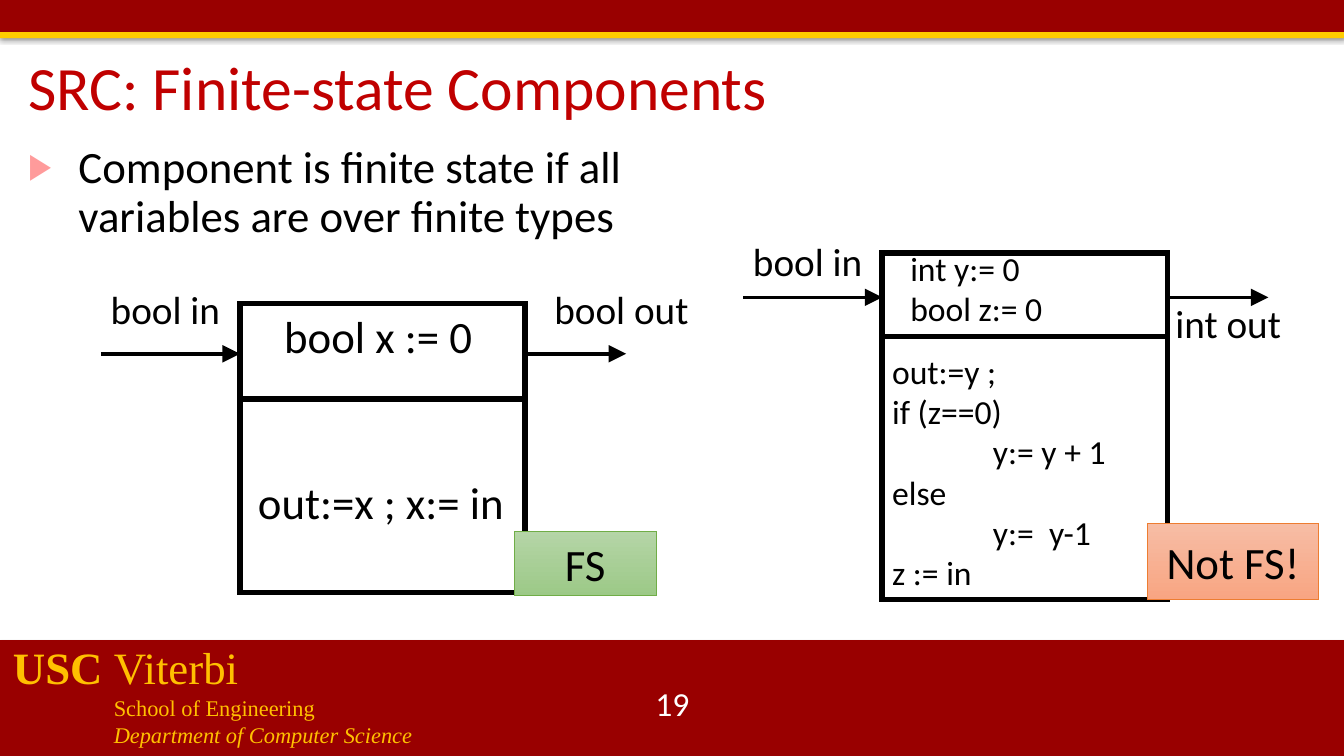
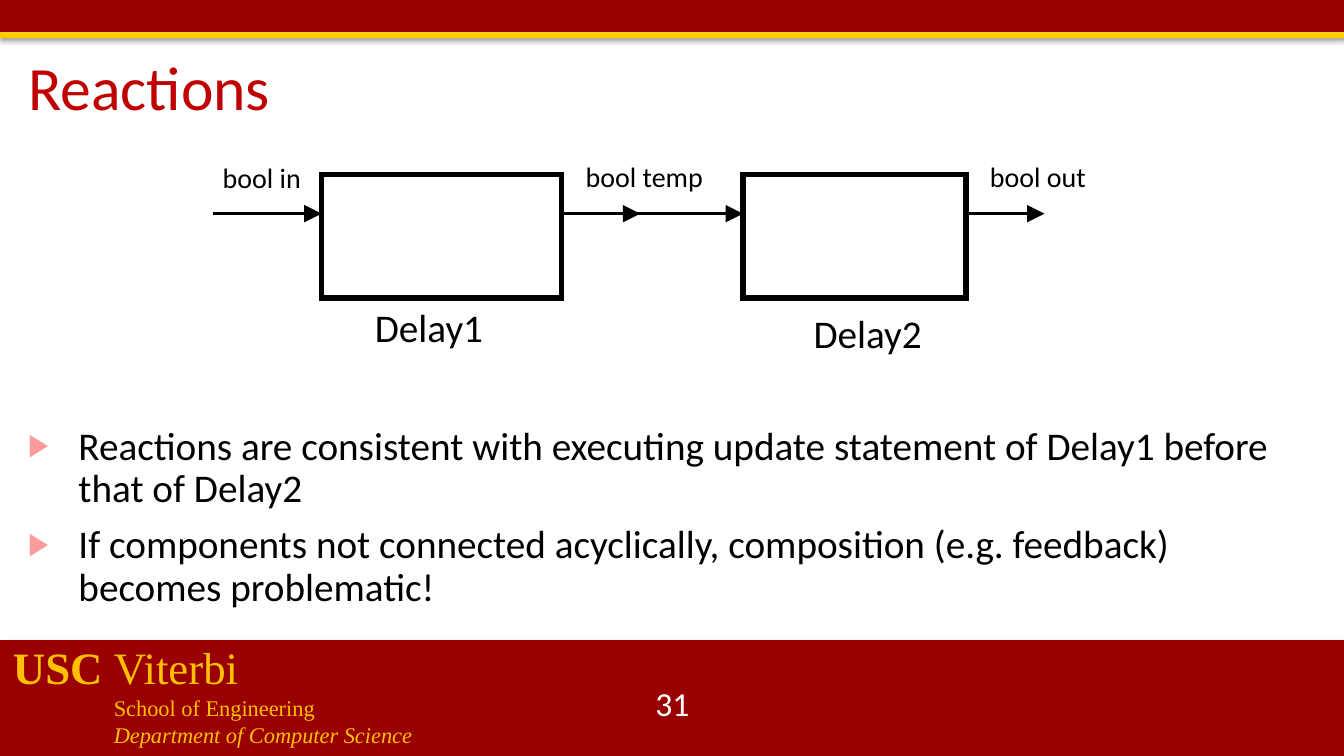
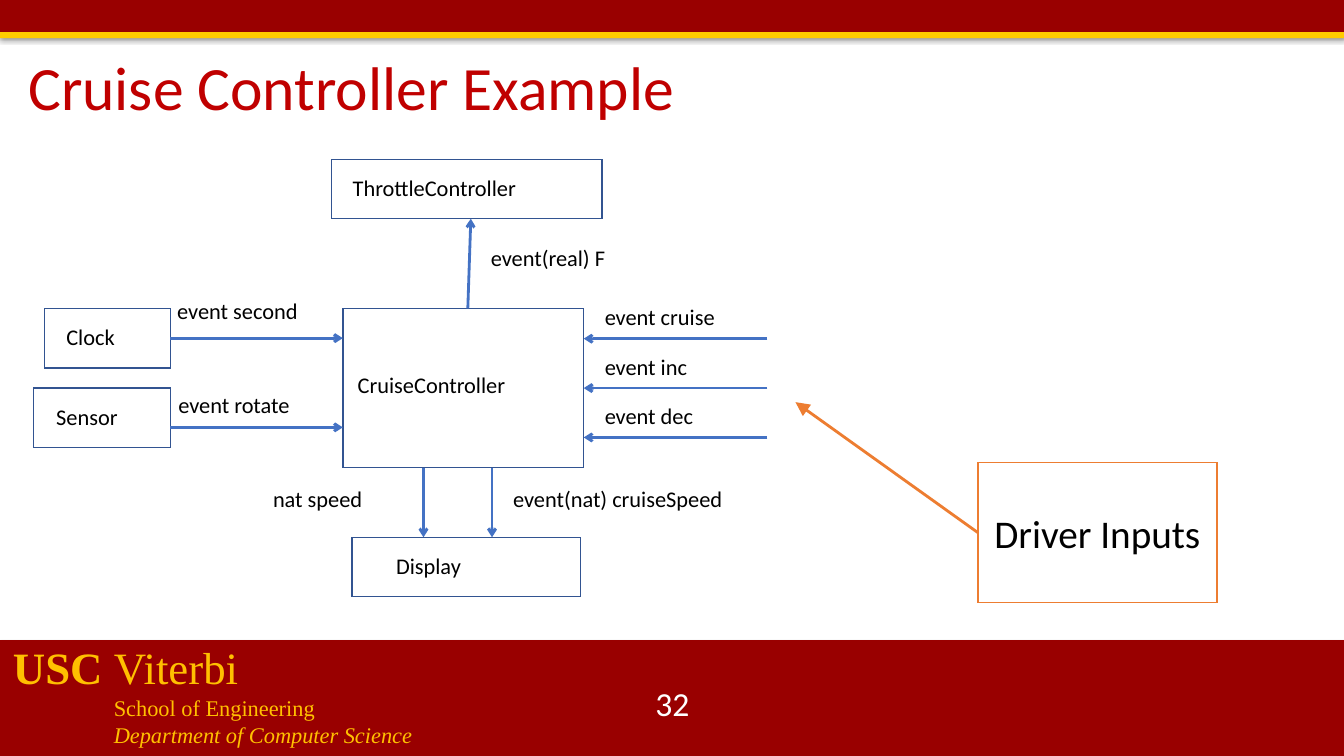
from lxml.etree import SubElement
from pptx import Presentation
from pptx.dml.color import RGBColor
from pptx.enum.shapes import MSO_CONNECTOR, MSO_SHAPE
from pptx.enum.text import MSO_ANCHOR, MSO_AUTO_SIZE, PP_ALIGN
from pptx.oxml.ns import qn
from pptx.util import Inches, Pt

WIDTH, HEIGHT = 13.33, 7.5
CARDINAL, GOLD, FOOTER_GOLD = "990000", "FFCC00", "FFC000"
TITLE_RED, BULLET_PINK = "C00000", "FF9B9B"
BLACK, WHITE = "000000", "FFFFFF"
BLUE, DARK_BLUE, ORANGE, GREEN = "4472C4", "325491", "ED7D31", "70AD47"
BODY_FONT, FOOTER_FONT = "Calibri", "Times New Roman"
TITLE_ONLY = 5


def rgb(value):
    return RGBColor.from_string(value)


# ---- Basic parts ----

def add_bullet(para):
    properties = para._p.get_or_add_pPr()
    properties.set("marL", str(Inches(0.5)))
    properties.set("indent", str(Inches(-0.5)))
    colour = SubElement(properties, qn("a:buClr"))
    SubElement(colour, qn("a:srgbClr"), val=BULLET_PINK)
    SubElement(properties, qn("a:buSzPct"), val="80000")
    SubElement(properties, qn("a:buFont"), typeface=BODY_FONT)
    SubElement(properties, qn("a:buChar"), char="▶")


def add_tabs(para, stops):
    tabs = SubElement(para._p.get_or_add_pPr(), qn("a:tabLst"))
    for stop in stops:
        SubElement(tabs, qn("a:tab"), pos=str(Inches(stop)), algn="l")


def write(frame, lines, size=16, colour=BLACK, font=BODY_FONT, align=PP_ALIGN.LEFT,
          anchor=MSO_ANCHOR.TOP, wrap=True, bullets=False, tabs=(), spacing=None,
          before=0):
    """Each line is a string or a list of (text, format) spans."""
    frame.word_wrap = wrap
    frame.auto_size = MSO_AUTO_SIZE.NONE if wrap else MSO_AUTO_SIZE.SHAPE_TO_FIT_TEXT
    frame.vertical_anchor = anchor
    for index, line in enumerate([lines] if isinstance(lines, str) else lines):
        para = frame.add_paragraph() if index else frame.paragraphs[0]
        if bullets:
            add_bullet(para)
        if tabs:
            add_tabs(para, tabs)
        para.alignment = align
        if spacing:
            para.line_spacing = spacing
        if index and before:
            para.space_before = Pt(before)
        for text, style in [(line, {})] if isinstance(line, str) else line:
            span = para.add_run()
            span.text = text
            span.font.name = font
            span.font.size = Pt(style.get("size", size))
            span.font.bold = style.get("bold", False)
            span.font.italic = style.get("italic", False)
            span.font.color.rgb = rgb(colour)


def add_text(page, box, lines, **style):
    shape = page.shapes.add_textbox(*map(Inches, box))
    write(shape.text_frame, lines, **style)
    return shape


def add_label(page, left, top, width, lines, size=16, **style):
    count = 1 if isinstance(lines, str) else len(lines)
    height = 0.1 + count * size * 1.2 / 72
    return add_text(page, (left, top, width, height), lines, size=size, wrap=False, **style)


def add_box(page, box, fill=None, line=None, width=1.0):
    shape = page.shapes.add_shape(MSO_SHAPE.RECTANGLE, *map(Inches, box))
    shape.shadow.inherit = False
    if fill:
        shape.fill.solid()
        shape.fill.fore_color.rgb = rgb(fill)
    else:
        shape.fill.background()
    if line:
        shape.line.color.rgb = rgb(line)
        shape.line.width = Pt(width)
        # Square corners
        SubElement(shape._element.spPr.find(qn("a:ln")), qn("a:miter"), lim="800000")
    else:
        shape.line.fill.background()
    return shape


def add_line(page, start, end, colour=BLACK, width=2.5, head="triangle", head_size="lg",
             begin_at=None, end_at=None):
    """Line from start to end; begin_at and end_at are (shape, side) joints."""
    line = page.shapes.add_connector(MSO_CONNECTOR.STRAIGHT, *map(Inches, (*start, *end)))
    line.line.color.rgb = rgb(colour)
    line.line.width = Pt(width)
    properties = line._element.spPr
    if head:
        SubElement(properties.find(qn("a:ln")), qn("a:tailEnd"), type=head,
                   w=head_size, len=head_size)
    SubElement(properties, qn("a:effectLst"))
    if begin_at:
        line.begin_connect(*begin_at)
    if end_at:
        line.end_connect(*end_at)
    return line


# ---- Shared frame ----

def add_band(page, box, fill, alpha=35, distance=1.8):
    band = add_box(page, box, fill)
    effects = band._element.spPr.find(qn("a:effectLst"))
    shadow = SubElement(effects, qn("a:outerShdw"), blurRad=str(Pt(3.1)),
                        dist=str(Pt(distance)), dir="5400000", rotWithShape="0")
    colour = SubElement(shadow, qn("a:srgbClr"), val=BLACK)
    SubElement(colour, qn("a:alpha"), val=str(alpha * 1000))


def add_page(deck, title, number):
    page = deck.slides.add_slide(deck.slide_layouts[TITLE_ONLY])
    # Bands
    add_band(page, (0, 6.35, WIDTH, 1.15), CARDINAL)
    add_band(page, (0, 0, WIDTH, 0.33), CARDINAL)
    add_band(page, (0, 0.32, WIDTH, 0.06), GOLD, alpha=38, distance=1.6)
    # Footer
    add_text(page, (0.03, 6.3, 6.25, 1.18), [
        [("USC ", {"size": 32, "bold": True}), ("Viterbi", {"size": 32})],
        "\t\tSchool of Engineering",
        [("\t\t", {}), ("Department of Computer Science", {"italic": True})],
    ], colour=FOOTER_GOLD, font=FOOTER_FONT, tabs=(0.5, 1))
    add_text(page, (5.17, 6.78, 3, 0.4), number, size=24, colour=WHITE,
             align=PP_ALIGN.CENTER, anchor=MSO_ANCHOR.MIDDLE)
    # Title
    heading = page.shapes.title
    heading.left, heading.top, heading.width, heading.height = map(
        Inches, (0.18, 0.47, 11.94, 0.85))
    write(heading.text_frame, title, size=44, colour=TITLE_RED,
          anchor=MSO_ANCHOR.MIDDLE, spacing=0.9)
    return page


def add_bullets(page, box, lines, size):
    add_text(page, box, lines, size=size, bullets=True, spacing=0.9, before=10)


# ---- Finite-state components ----

def add_component(page, box, port, divider, inlet, outlet, start, update, text_size):
    """Component with ports; each label is (text, dx, dy, width) from the box corner."""
    left, top, width, height = box
    right = left + width
    add_box(page, box, line=BLACK, width=4)
    add_line(page, (left - 1.38, top + port), (left, top + port))
    add_line(page, (right, top + port), (right + 1, top + port))
    add_line(page, (left, top + divider), (right, top + divider), width=4, head=None)
    for (text, dx, dy, label_width), size in (
            (inlet, 28), (outlet, 28), (start, text_size), (update, text_size)):
        add_label(page, left + dx, top + dy, label_width, text, size=size, tabs=(1,))


def add_verdict(page, box, text, light, dark, line):
    shape = add_box(page, box, fill=light, line=line, width=0.5)
    shape.fill.gradient()
    shape.fill.gradient_angle = 270
    for stop, colour in zip(shape.fill.gradient_stops, (light, dark)):
        stop.color.rgb = rgb(colour)
    write(shape.text_frame, text, size=32, align=PP_ALIGN.CENTER, anchor=MSO_ANCHOR.MIDDLE)


def build_finite_state(deck):
    page = add_page(deck, "SRC: Finite-state Components", "19")
    add_component(
        page, (2.38, 3.01, 2.83, 2.87), port=0.5, divider=0.95,
        inlet=("bool in", -1.38, -0.23, 1.3), outlet=("bool out", 3.02, -0.23, 1.55),
        start=("bool x := 0", 0.34, 0, 2.09),
        update=("out:=x ; x:= in", 0.08, 1.65, 2.67), text_size=32)
    add_component(
        page, (8.75, 2.51, 2.83, 3.44), port=0.44, divider=0.83,
        inlet=("bool in", -1.38, -0.21, 1.3), outlet=("int out", 2.81, 0.41, 1.26),
        start=(["int y:= 0", "bool z:= 0"], 0.18, -0.1, 2.35),
        update=(["out:=y ;", "if (z==0)", "\ty:= y + 1", "else", "\ty:=  y-1", "z := in"],
                0, 0.92, 2.34), text_size=24)
    add_bullets(page, (0.18, 1.39, 6.4, 1.31),
                ["Component is finite state if all variables are over finite types"], 32)
    add_verdict(page, (5.1, 5.27, 1.41, 0.64), "FS", "B5D5A7", "9CC987", GREEN)
    add_verdict(page, (11.38, 5.19, 1.7, 0.76), "Not FS!", "F7BDA5", "F8A582", ORANGE)


# ---- Delays in series ----

def add_delay(page, box, name, name_offset, outlet, inlet=None):
    left, top, width, height = box
    right, port = left + width, top + 0.39
    add_box(page, box, line=BLACK, width=4)
    add_line(page, (left - 1.08, port), (left, port))
    add_line(page, (right, port), (right + 0.78, port))
    if inlet:
        add_label(page, left - 1.08, top - 0.19, 0.98, inlet, size=20)
    add_label(page, right + 0.14, top - 0.2, 1.5, outlet, size=20)
    add_label(page, left + name_offset[0], top + name_offset[1], 1.29, name, size=28)


def build_reactions(deck):
    page = add_page(deck, "Reactions", "31")
    add_delay(page, (3.19, 1.73, 2.38, 1.23), "Delay1", (0.43, 1.23), "bool temp", "bool in")
    add_delay(page, (7.37, 1.73, 2.21, 1.23), "Delay2", (0.6, 1.29), "bool out")
    add_bullets(page, (0.18, 4.18, 12.79, 2.03), [
        "Reactions are consistent with executing update statement of Delay1 before "
        "that of Delay2",
        "If components not connected acyclically, composition (e.g. feedback) "
        "becomes problematic!"], 28)


# ---- Cruise controller ----

def add_block(page, box, text, dx, dy=0.1):
    block = add_box(page, box, line=DARK_BLUE)
    add_label(page, box[0] + dx, box[1] + dy, box[2] - dx, text)
    return block


def add_event(page, start, end, text, label_at, width=1.93, **joints):
    add_line(page, start, end, colour=BLUE, width=2, head="arrow", head_size="med", **joints)
    add_label(page, *label_at, width, text)


def build_cruise(deck):
    page = add_page(deck, "Cruise Controller Example", "32")
    # Blocks
    left, top, width, height = controller_box = (3.4, 3.06, 2.39, 1.58)
    right, bottom = left + width, top + height
    block_height = 0.59
    controller = add_block(page, controller_box, "CruiseController", 0.05, 0.57)
    clock = add_block(page, (0.44, top, 1.25, block_height), "Clock", 0.12)
    add_block(page, (0.33, 3.85, 1.36, block_height), "Sensor", 0.13)
    add_block(page, (3.49, 5.33, 2.27, block_height), "Display", 0.34)
    add_block(page, (3.29, 1.58, 2.68, block_height), "ThrottleController", 0.11)
    # Events from the clock and the sensor
    clock_y = top + block_height / 2
    add_event(page, (1.69, clock_y), (left, clock_y), "event second", (1.66, 2.9),
              begin_at=(clock, 3))
    add_event(page, (1.69, 4.24), (left, 4.24), "event rotate", (1.67, 3.83), 1.81)
    # Events from the driver
    middle = top + height / 2
    for index, name in enumerate(("cruise", "inc", "dec")):
        y = middle + (index - 1) * 0.49
        joint = {"end_at": (controller, 3)} if name == "inc" else {}
        add_event(page, (7.61, y), (right, y), f"event {name}", (right + 0.11, y - 0.4),
                  **joint)
    # Outputs
    add_event(page, (4.2, bottom), (4.2, 5.33), "nat speed", (2.61, 4.76), 1.5)
    add_event(page, (4.88, bottom), (4.88, 5.33), "event(nat) cruiseSpeed", (4.99, 4.76), 3.12)
    add_event(page, (4.64, top), (4.67, 2.17), "event(real) F", (4.77, 2.37), 3.53)
    # Driver callout
    driver = add_box(page, (9.7, 4.59, 2.37, 1.39), fill=WHITE, line=ORANGE)
    write(driver.text_frame, "Driver Inputs", size=28, align=PP_ALIGN.CENTER,
          anchor=MSO_ANCHOR.MIDDLE)
    add_line(page, (9.7, 5.29), (7.89, 3.99), colour=ORANGE, width=2, begin_at=(driver, 1))


def main():
    deck = Presentation()
    deck.slide_width, deck.slide_height = Inches(WIDTH), Inches(HEIGHT)
    build_finite_state(deck)
    build_reactions(deck)
    build_cruise(deck)
    deck.save("out.pptx")


if __name__ == "__main__":
    main()
